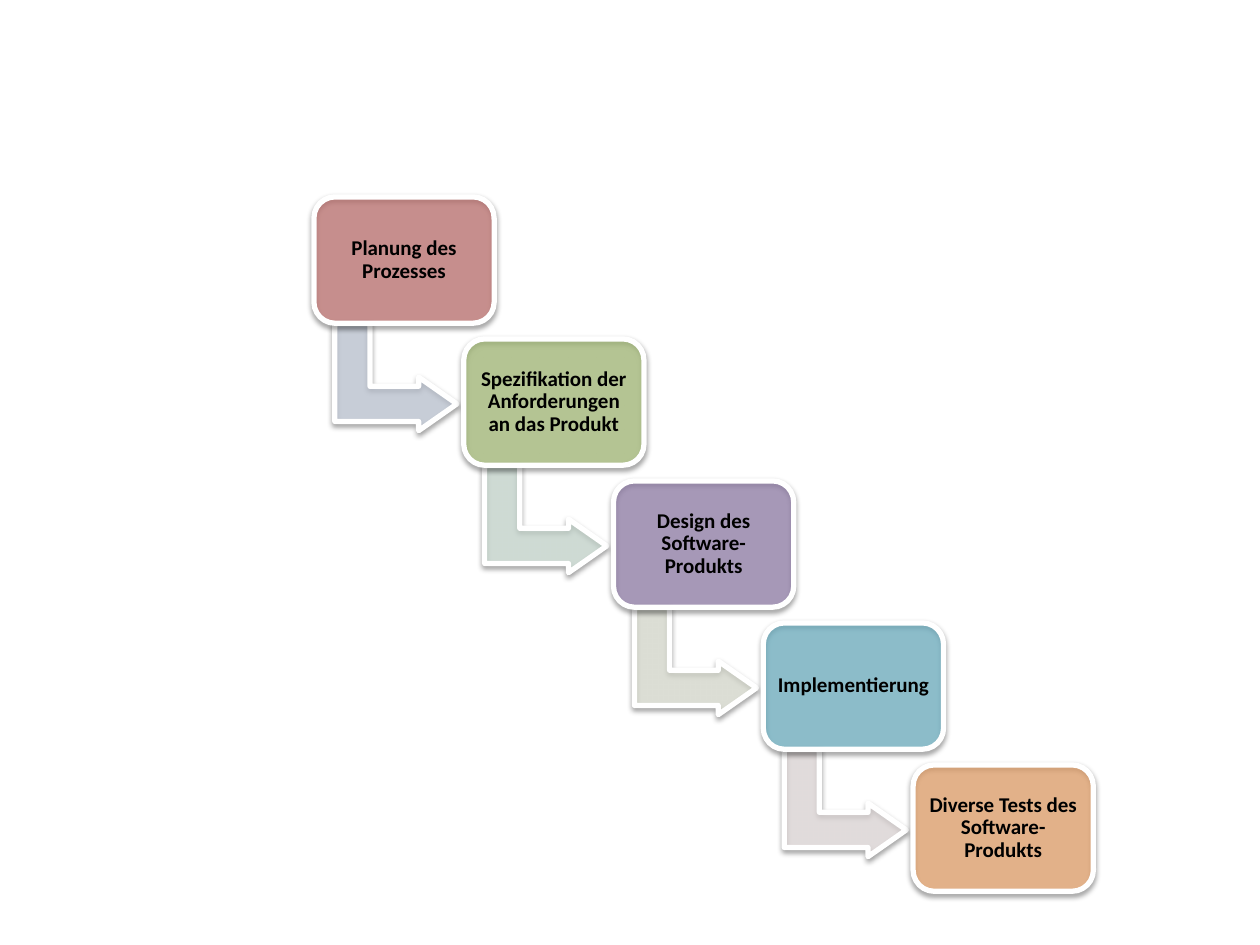
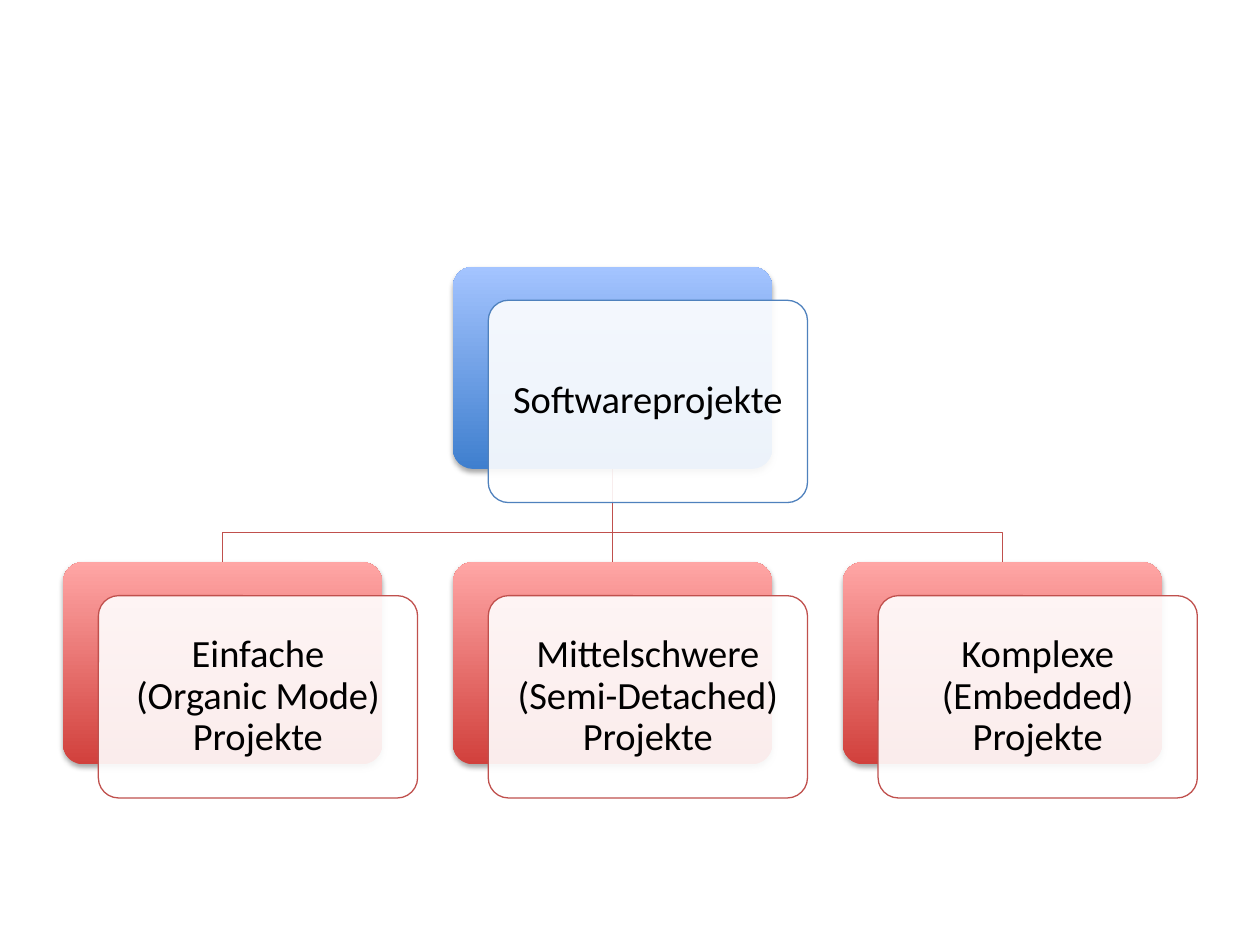
from dataclasses import dataclass

from lxml.etree import SubElement as Sub
from pptx import Presentation
from pptx.dml.color import RGBColor as RGB
from pptx.enum.shapes import MSO_CONNECTOR as Link, MSO_SHAPE as Kind
from pptx.enum.text import MSO_ANCHOR as Anchor, PP_ALIGN as Align
from pptx.oxml.ns import qn
from pptx.util import Pt


# Colours and type sizes
@dataclass(frozen=True)
class Theme:
    font: str = "Calibri"
    ink: str = "000000"
    paper: str = "FFFFFF"
    blue: str = "4F81BD"
    red: str = "C0504D"
    blues: tuple = ("3F7FCE", "A4C4FF")
    reds: tuple = ("D1403C", "FFA6A5")
    small: float = 12
    large: float = 22
    thick: float = 3
    thin: float = 0.75


T = Theme()

# Steps: text, box colour, colour of the arrow to the next step
STEPS = [
    ("Planung des Prozesses", "C0504D", "C2CDE1"),
    ("Spezifikation der Anforderungen an das Produkt", "9BBB59", "CFE7DA"),
    ("Design des Software-Produkts", "8064A2", "EAEEDC"),
    ("Implementierung", "4BACC6", "F4E9E9"),
    ("Diverse Tests des Software-Produkts", "F79646", None),
]
ROOT = "Softwareprojekte"
KINDS = [
    "Einfache\v(Organic Mode) Projekte",
    "Mittelschwere (Semi-Detached) Projekte",
    "Komplexe (Embedded) Projekte",
]


# Shape helpers
def add_form(slide, kind, x, y, w, h, adjs):
    form = slide.shapes.add_shape(kind, Pt(x), Pt(y), Pt(w), Pt(h))
    for i, adj in enumerate(adjs):
        form.adjustments[i] = adj
    form.shadow.inherit = False
    return form


def paint(form, color, alpha):
    form.fill.solid()
    form.fill.fore_color.rgb = RGB.from_string(color)
    tint = form._element.spPr.find(qn("a:solidFill"))[0]
    Sub(tint, qn("a:alpha"), val=str(alpha * 1000))


def blend(form, colors):
    form.fill.gradient()
    form.fill.gradient_angle = 90
    for stop, color in zip(form.fill.gradient_stops, colors):
        stop.color.rgb = RGB.from_string(color)
    form.line.fill.background()


def stroke(form, color, width):
    form.line.color.rgb = RGB.from_string(color)
    form.line.width = Pt(width)


def shade(form, alpha, dist):
    effects = form._element.spPr.find(qn("a:effectLst"))
    drop = Sub(effects, qn("a:outerShdw"), blurRad=str(Pt(3.15)),
               dist=str(Pt(dist)), dir="5400000", rotWithShape="0")
    tint = Sub(drop, qn("a:srgbClr"), val=T.ink)
    Sub(tint, qn("a:alpha"), val=str(alpha * 1000))


def write(form, text, size, inset, bold=False):
    frame = form.text_frame
    frame.word_wrap = True
    frame.vertical_anchor = Anchor.MIDDLE
    frame.margin_left = frame.margin_right = Pt(inset)
    frame.margin_top = frame.margin_bottom = Pt(inset)
    frame.text = text
    para = frame.paragraphs[0]
    para.alignment = Align.CENTER
    para.line_spacing = 0.9
    para.font.name = T.font
    para.font.size = Pt(size)
    para.font.bold = bold
    para.font.color.rgb = RGB.from_string(T.ink)


# Slide 1: steps going down to the right
def add_step(slide, kind, spot, adjs, color):
    form = add_form(slide, kind, *spot, adjs)
    paint(form, color, 50)
    stroke(form, T.paper, T.thick)
    shade(form, 38, 1.57)
    return form


def draw_steps(slide):
    left, top, right, down = 179.4, 112.5, 85.6, 81.15
    wide, high, pad = 103, 72.2, 3.5
    for i, (text, color, next_color) in enumerate(STEPS):
        x, y = left + i * right, top + i * down
        if next_color:
            arrow = add_step(slide, Kind.BENT_UP_ARROW,
                             (x + 16.2, y + 68.1, 61.2, 69.8),
                             (0.328, 0.25, 0.358), next_color)
            arrow.rotation = 90
        add_step(slide, Kind.ROUNDED_RECTANGLE, (x, y, wide, high),
                 (0.167,), color)
        # A label of its own keeps the box shadow off the letters
        label = slide.shapes.add_textbox(Pt(x + pad), Pt(y + pad),
                                         Pt(wide - 2 * pad),
                                         Pt(high - 2 * pad))
        write(label, text, T.small, 3.6, bold=True)


# Slide 2: tree of project kinds
WIDE, HIGH = 182.4, 115.6


def add_card(slide, x, y, text, colors, edge):
    back = add_form(slide, Kind.ROUNDED_RECTANGLE, x, y, WIDE, HIGH, (0.1,))
    blend(back, colors)
    shade(back, 35, 1.81)
    front = add_form(slide, Kind.ROUNDED_RECTANGLE, x + 20.2, y + 19.2,
                     WIDE, HIGH, (0.1,))
    paint(front, T.paper, 90)
    stroke(front, edge, T.thin)
    write(front, text, T.large, 6.6)


def add_branch(slide, start, end, bend):
    (x1, y1), (x2, y2) = start, end
    if x1 == x2:
        line = slide.shapes.add_connector(Link.STRAIGHT, Pt(x1), Pt(y1),
                                          Pt(x2), Pt(y2))
        Sub(line._element.spPr, qn("a:effectLst"))
    else:
        path = slide.shapes.build_freeform(Pt(x1), Pt(y1))
        spots = [(x1, bend), (x2, bend), (x2, y2)]
        path.add_line_segments([(Pt(x), Pt(y)) for x, y in spots], close=False)
        line = path.convert_to_shape()
        line.fill.background()
        line.shadow.inherit = False
    stroke(line, T.red, T.thin)


def draw_tree(slide):
    left, gap, top, low = 36, 222.8, 152.4, 321.2
    lefts = [left + i * gap for i in range(len(KINDS))]
    mid = lefts[1]
    start = (mid + WIDE / 2, top + HIGH)
    for x in reversed(lefts):
        add_branch(slide, start, (x + WIDE / 2, low), 304.2)
    add_card(slide, mid, top, ROOT, T.blues, T.blue)
    for x, text in zip(lefts, KINDS):
        add_card(slide, x, low, text, T.reds, T.red)


def main():
    deck = Presentation()
    deck.slide_width, deck.slide_height = Pt(720), Pt(540)
    blank = deck.slide_layouts[6]
    for draw in (draw_steps, draw_tree):
        draw(deck.slides.add_slide(blank))
    deck.save("out.pptx")


main()
